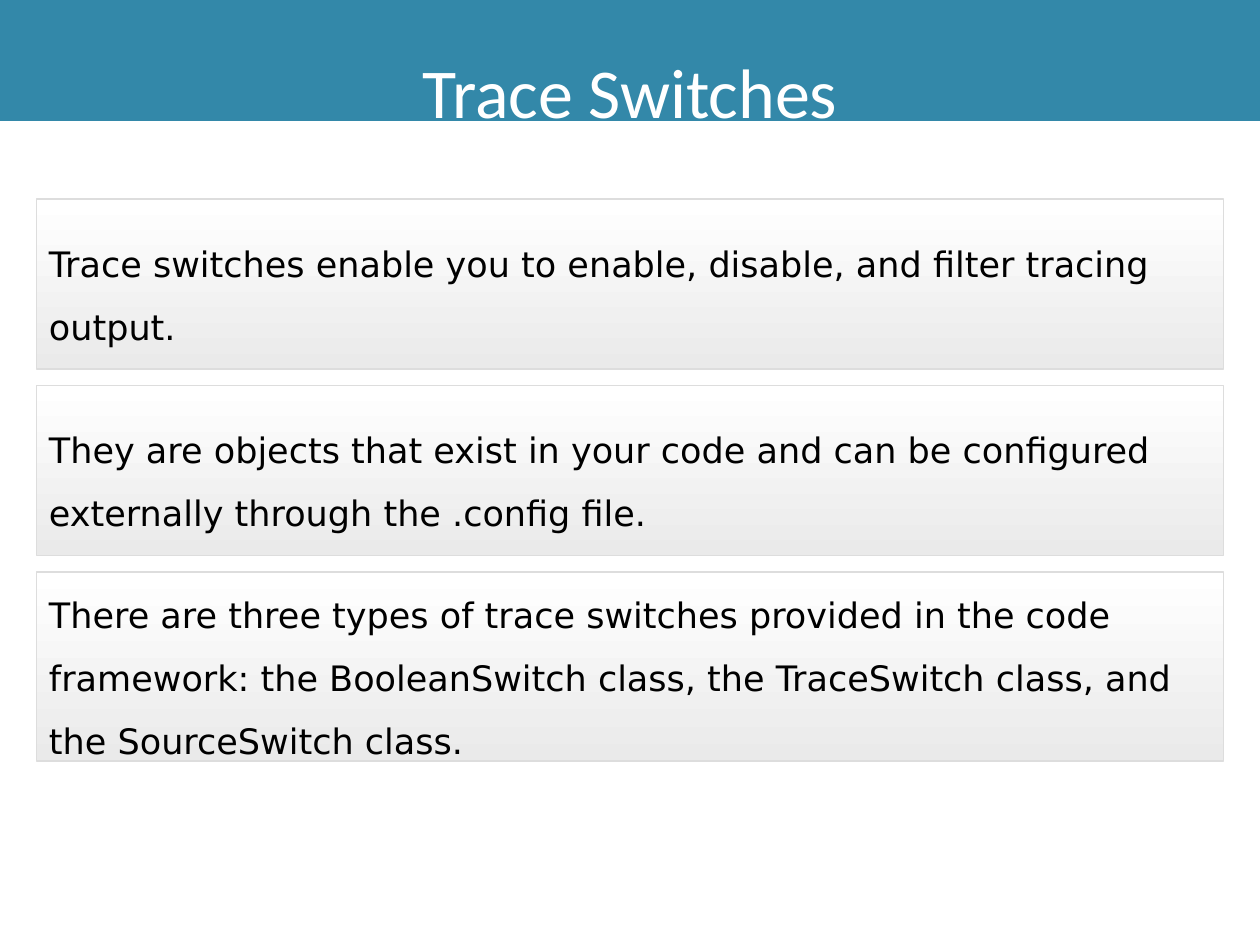
from pptx import Presentation
from pptx.dml.color import RGBColor
from pptx.enum.shapes import MSO_SHAPE as Shape
from pptx.enum.text import MSO_ANCHOR as Anchor, PP_ALIGN as Align
from pptx.util import Inches, Pt

WIDTH, HEIGHT = 10, 7.5
TITLE = "Trace Switches"
TITLE_HEIGHT = 0.96
# Each panel: text, height in inches
PANELS = [
    ("Trace switches enable you to enable, disable, and filter tracing output. ", 1.35),
    ("They are objects that exist in your code and can be configured "
     "externally through the .config file.", 1.35),
    ("There are three types of trace switches provided in the code "
     "framework: the\u00a0BooleanSwitch\u00a0class, the\u00a0TraceSwitch\u00a0class, "
     "and the\u00a0SourceSwitch\u00a0class.", 1.5),
]
MARGIN, FIRST_TOP, GAP = 0.29, 1.58, 0.13
TITLE_FONT = {"name": "Calibri", "size": Pt(40)}
PANEL_FONT = {"name": "DejaVu Sans", "size": Pt(20)}


def color(code):
    """Turn a hex string into a colour."""
    return RGBColor.from_string(code)


def add_box(page, place, text, font, ink, align, anchor):
    """Add a rectangle with one paragraph of text."""
    box = page.shapes.add_shape(Shape.RECTANGLE, *map(Inches, place))
    box.shadow.inherit = False
    frame = box.text_frame
    frame.word_wrap = True
    frame.vertical_anchor = anchor
    para = frame.paragraphs[0]
    para.alignment = align
    para.line_spacing = 1.5
    span = para.add_run()
    span.text = text
    for name, value in font.items():
        setattr(span.font, name, value)
    span.font.color.rgb = color(ink)
    return box


def add_title(page):
    """Add the title band across the top."""
    band = add_box(page, (0, 0, WIDTH, TITLE_HEIGHT), TITLE, TITLE_FONT,
                   "FFFFFF", Align.CENTER, Anchor.TOP)
    band.fill.solid()
    band.fill.fore_color.rgb = color("3388A9")
    band.line.fill.background()


def add_panel(page, top, height, text):
    """Add a panel shaded from white down to grey."""
    panel = add_box(page, (MARGIN, top, WIDTH - 2 * MARGIN, height), text,
                    PANEL_FONT, "000000", Align.LEFT, Anchor.MIDDLE)
    panel.fill.gradient()
    panel.fill.gradient_angle = 270
    for stop, shade in zip(panel.fill.gradient_stops, ("FFFFFF", "EAEAEA")):
        stop.color.rgb = color(shade)
    panel.line.color.rgb = color("DDDDDD")
    panel.line.width = Pt(1)


deck = Presentation()
deck.slide_width, deck.slide_height = Inches(WIDTH), Inches(HEIGHT)
page = deck.slides.add_slide(deck.slide_layouts[6])
add_title(page)
top = FIRST_TOP
for text, height in PANELS:
    add_panel(page, top, height, text)
    top += height + GAP
deck.save("out.pptx")
